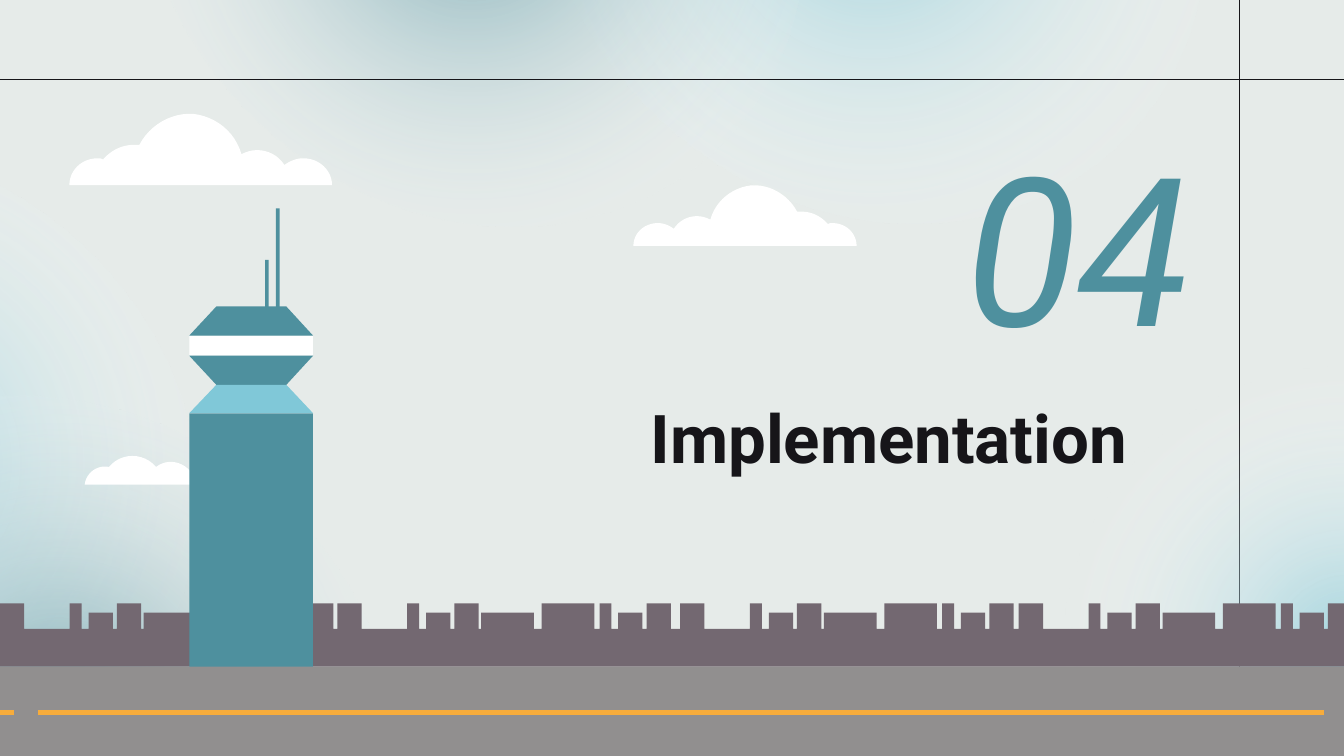
from pptx import Presentation
from pptx import util as u
from pptx.dml.color import RGBColor
from pptx.enum import shapes, text
from pptx.oxml import parse_xml
from pptx.oxml import ns

PAPER = RGBColor(0xE6, 0xEB, 0xE9)
INK = RGBColor(0x16, 0x15, 0x19)
TEAL = RGBColor(0x4E, 0x90, 0x9E)
SKY = RGBColor(0x80, 0xC8, 0xD8)
CITY = RGBColor(0x73, 0x68, 0x71)
ROAD = RGBColor(0x91, 0x8F, 0x8F)
YELLOW = RGBColor(0xF7, 0xAC, 0x3B)
WHITE = RGBColor(0xFF, 0xFF, 0xFF)
WIDTH, HEIGHT = 720, 405

GLOWS = [
    (279.4, -221.8, 42, SKY, 68),
    (64.8, -220.3, 42, TEAL, 68),
    (439.9, 313.9, 356.7, TEAL, 81),
    (534.2, 182.9, 356.7, SKY, 68),
    (-262.8, 82.1, 33.5, SKY, 68),
    (-157, 218.9, 33.5, TEAL, 68),
]

BIG_CLOUD = [
    (125.3, -14.4),
    (121.7, -14.4, 118.1, -13, 115.2, -10.8),
    (110.2, -18.7, 100.1, -20.9, 92.2, -16.6),
    (88.6, -28.8, 78.5, -36.7, 66.3, -38.2),
    (54.8, -38.9, 43.2, -32.4, 37.5, -21.6),
    (36.8, -21.6, 35.3, -21.6, 34.6, -21.6),
    (28.1, -21.6, 22.4, -18.7, 18, -13.7),
    (17.3, -14.4, 15.9, -14.4, 15.2, -14.4),
    (6.5, -14.4, 0, -7.9, 0, 0),
    (140.7, 0),
    (140.7, -7.9, 134, -14.4, 125.3, -14.4),
]
SMALL_CLOUD = [
    (69.1, 0),
    (0, 0),
    (0.7, -6.5, 7.2, -10.8, 13, -9.4),
    (19.4, -17.3, 31.7, -17.3, 38.2, -9.4),
    (44.6, -14.4, 53.3, -12.2, 57.6, -5.8),
    (62.6, -7.9, 67.7, -5, 69.1, 0),
]

ROOF, LOW_ROOF, STREET, ROAD_TOP = 323.3, 328.3, 337, 357.2
BLOCK_STARTS = [37.4, 218.2, 401.8, 583.2]
BUILDINGS = [
    (-37.4, 13, ROOF), (0, 6.4, ROOF), (10.1, 13, LOW_ROOF),
    (25.2, 13, ROOF), (39.6, 28.2, LOW_ROOF), (72, 28.2, ROOF),
    (103, 6.4, ROOF), (113, 13, LOW_ROOF), (128.2, 13, ROOF),
]


def trace(path):
    points = [path[0]]
    for step in path[1:]:
        if len(step) == 2:
            points.append(step)
            continue
        start, first, second, end = points[-1], step[:2], step[2:4], step[4:]
        for i in range(1, 13):
            t = i / 12
            s = 1 - t
            points.append(tuple(
                s**3 * a + 3 * s * s * t * b + 3 * s * t * t * c + t**3 * d
                for a, b, c, d in zip(start, first, second, end)))
    return points


def skyline():
    points = [(0, ROAD_TOP)]
    for start in BLOCK_STARTS:
        for offset, width, roof in BUILDINGS:
            left = max(0, start + offset)
            right = min(WIDTH, left + width)
            points += [(left, STREET), (left, roof), (right, roof), (right, STREET)]
    return points + [(WIDTH, ROAD_TOP)]


class Scene:
    font = "Roboto"
    inset = 7.2

    def __init__(self, page):
        self.page = page
        page.background.fill.solid()
        page.background.fill.fore_color.rgb = PAPER

    def paint(self, shape, color):
        shape.shadow.inherit = False
        shape.fill.solid()
        shape.fill.fore_color.rgb = color
        shape.line.fill.background()

    def rectangle(self, left, top, width, height, color):
        kind = shapes.MSO_SHAPE.RECTANGLE
        shape = self.page.shapes.add_shape(
            kind, u.Pt(left), u.Pt(top), u.Pt(width), u.Pt(height))
        self.paint(shape, color)

    def polygon(self, points, color):
        corners = [(u.Pt(x), u.Pt(y)) for x, y in points]
        builder = self.page.shapes.build_freeform(*corners[0])
        builder.add_line_segments(corners[1:], close=True)
        self.paint(builder.convert_to_shape(), color)

    def cloud(self, path, left, base, scale=1, mirrored=False):
        points = trace(path)
        width = max(x for x, y in points)
        self.polygon([(left + scale * (width - x if mirrored else x), base + scale * y)
                      for x, y in points], WHITE)

    def glow(self, left, top, angle, color, alpha):
        shape = self.page.shapes.add_shape(
            shapes.MSO_SHAPE.OVAL, u.Pt(left), u.Pt(top), u.Pt(375.8), u.Pt(331.2))
        self.paint(shape, color)
        shape.rotation = angle
        stops = "".join(
            f'<a:gs pos="{position * 1000}"><a:srgbClr val="{tint}">'
            f'<a:alpha val="{opacity * 1000}"/></a:srgbClr></a:gs>'
            for position, tint, opacity in
            [(0, color, alpha), (58, WHITE, 0), (100, WHITE, 0)])
        gradient = parse_xml(
            f'<a:gradFill {ns.nsdecls("a")}><a:gsLst>{stops}</a:gsLst>'
            '<a:path path="circle"><a:fillToRect l="50000" t="50000" '
            'r="50000" b="50000"/></a:path></a:gradFill>')
        solid = shape.element.spPr.find(ns.qn("a:solidFill"))
        solid.getparent().replace(solid, gradient)

    def line(self, x1, y1, x2, y2, color=INK, weight=0.75):
        line = self.page.shapes.add_connector(
            shapes.MSO_CONNECTOR.STRAIGHT, u.Pt(x1), u.Pt(y1), u.Pt(x2), u.Pt(y2))
        line.line.color.rgb = color
        line.line.width = u.Pt(weight)
        line.element.spPr.append(parse_xml(f'<a:effectLst {ns.nsdecls("a")}/>'))

    def text(self, words, left, top, width, height, *, size, color,
             bold=False, italic=False, align=text.PP_ALIGN.CENTER,
             anchor=text.MSO_ANCHOR.TOP):
        box = self.page.shapes.add_textbox(
            u.Pt(left), u.Pt(top), u.Pt(width), u.Pt(height))
        frame = box.text_frame
        frame.word_wrap = True
        frame.vertical_anchor = anchor
        frame.margin_left = frame.margin_right = u.Pt(self.inset)
        frame.margin_top = frame.margin_bottom = u.Pt(self.inset)
        para = frame.paragraphs[0]
        para.alignment = align
        span = para.add_run()
        span.text = words
        span.font.name = self.font
        span.font.size = u.Pt(size)
        span.font.bold = bold
        span.font.italic = italic
        span.font.color.rgb = color


def draw_tower(scene):
    left, right, inner_left, inner_right = 101.4, 167.7, 115.9, 153.4
    width = right - left
    eaves, sill, waist, shaft = 179.8, 190.6, 206.2, 221.4
    scene.rectangle(left, eaves, width, sill - eaves, WHITE)
    scene.rectangle(left, shaft, width, ROAD_TOP - shaft, TEAL)
    for wide, narrow, color in [(sill, waist, TEAL), (eaves, 164.2, TEAL),
                                (shaft, waist, SKY)]:
        scene.polygon([(left, wide), (inner_left, narrow),
                       (inner_right, narrow), (right, wide)], color)
    for x, top in [(147.8, 111.6), (142, 139.2)]:
        scene.rectangle(x, top, 2, 171.4 - top, TEAL)


def main():
    deck = Presentation()
    deck.slide_width, deck.slide_height = u.Pt(WIDTH), u.Pt(HEIGHT)
    scene = Scene(deck.slides.add_slide(deck.slide_layouts[6]))
    scene.line(664, 0, 664, HEIGHT)
    for glow in GLOWS:
        scene.glow(*glow)
    scene.line(0, 42.5, WIDTH, 42.5)
    scene.polygon(skyline(), CITY)
    scene.rectangle(0, ROAD_TOP, WIDTH, HEIGHT - ROAD_TOP, ROAD)
    for start, end in [(20.6, 709.2), (0, 7.4)]:
        scene.line(start, 381.6, end, 381.6, YELLOW, 2.56)
    scene.cloud(BIG_CLOUD, 37.2, 99.2)
    scene.cloud(BIG_CLOUD, 339.3, 131.8, scale=0.85, mirrored=True)
    scene.cloud(SMALL_CLOUD, 45.4, 259.6)
    scene.text("04", 468, 88.6, 177.1, 84.2, size=111, color=TEAL, italic=True,
               align=text.PP_ALIGN.RIGHT, anchor=text.MSO_ANCHOR.MIDDLE)
    draw_tower(scene)
    scene.text("Implementation", 305.3, 205.2, 342, 84.2, size=36, color=INK, bold=True)
    deck.save("out.pptx")


if __name__ == "__main__":
    main()
